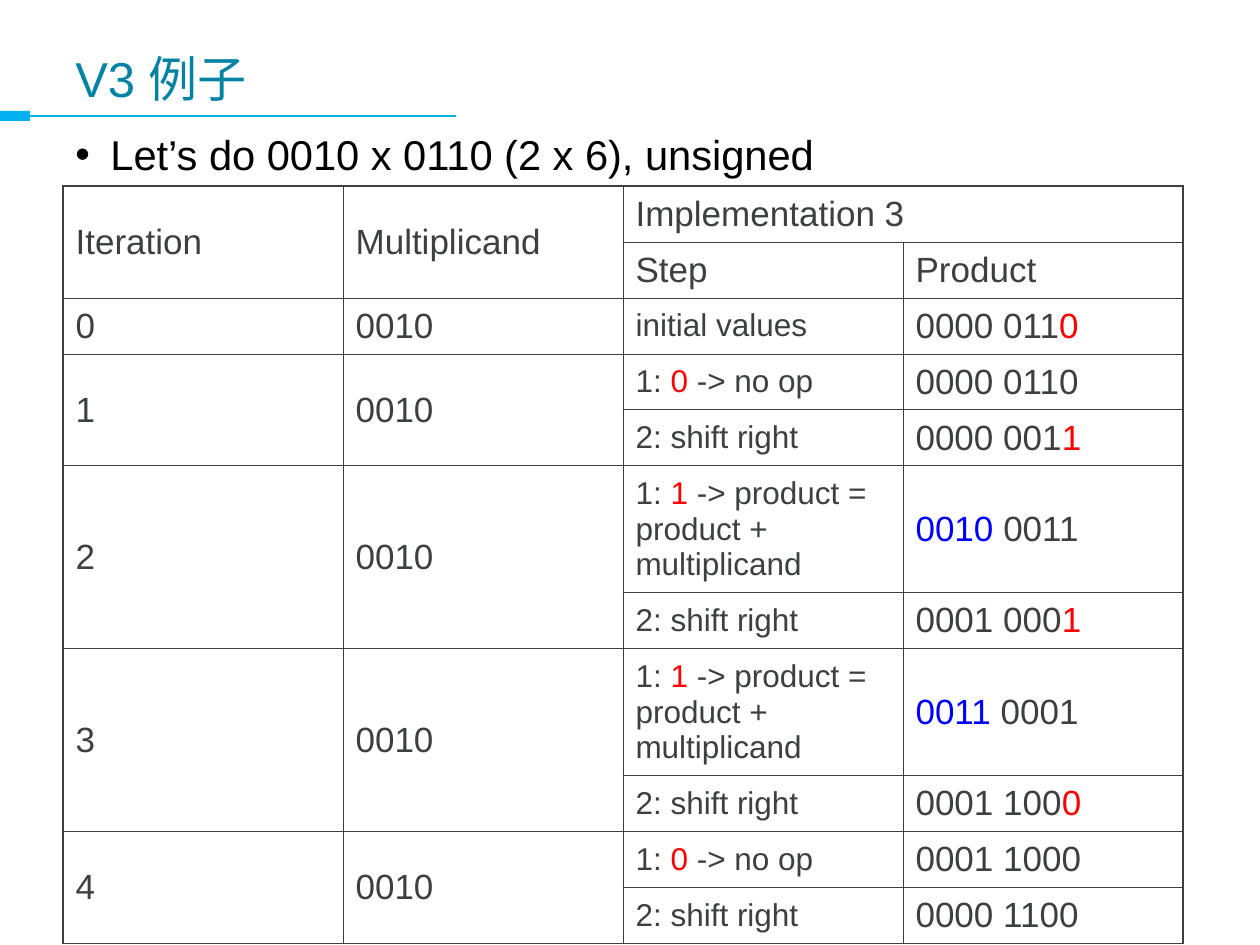
from dataclasses import dataclass
from typing import NamedTuple, Optional

from lxml.etree import SubElement
from pptx import Presentation
from pptx.dml.color import RGBColor
from pptx.enum.shapes import MSO_CONNECTOR, MSO_SHAPE
from pptx.enum.text import MSO_ANCHOR
from pptx.oxml.ns import qn
from pptx.util import Pt

EMU_PER_PX = 914400 / 126


@dataclass(frozen=True)
class Theme:
    font: str = "Arial"
    asian_font: str = "Noto Sans CJK KR"
    title: str = "0383A3"
    accent: str = "00B0F0"
    body: str = "000000"
    table: str = "3D3F41"
    tested_bit: str = "FF0000"
    sum_bits: str = "0000FF"
    title_size: float = 28
    body_size: float = 23.8
    cell_size: float = 20
    step_size: float = 18
    rule_width: float = 0.75
    inner_border: float = 0.45
    outer_border: float = 1.08


THEME = Theme()


class Span(NamedTuple):
    text: str
    color: Optional[str] = None


class Step(NamedTuple):
    operation: list[Span]
    product: list[Span]


class Cell(NamedTuple):
    row: int
    column: int
    spans: list[Span]
    size: float = THEME.cell_size
    rows: int = 1
    columns: int = 1


def tested(bit: str) -> Span:
    return Span(bit, THEME.tested_bit)


def added(bits: str) -> Span:
    return Span(bits, THEME.sum_bits)


def test_step(bit: str, action: str, *product: Span) -> Step:
    return Step([Span("1: "), tested(bit), Span(f" -> {action}")], list(product))


def shift_step(*product: Span) -> Step:
    return Step([Span("2: shift right")], list(product))


ADD = "product = product + multiplicand"
ITERATIONS = [
    [Step([Span("initial values")], [Span("0000 011"), tested("0")])],
    [test_step("0", "no op", Span("0000 0110")),
     shift_step(Span("0000 001"), tested("1"))],
    [test_step("1", ADD, added("0010"), Span(" 0011")),
     shift_step(Span("0001 000"), tested("1"))],
    [test_step("1", ADD, added("0011"), Span(" 0001")),
     shift_step(Span("0001 100"), tested("0"))],
    [test_step("0", "no op", Span("0001 1000")),
     shift_step(Span("0000 1100"))],
]
HEADER_CELLS = [
    Cell(0, 0, [Span("Iteration")], rows=2),
    Cell(0, 1, [Span("Multiplicand")], rows=2),
    Cell(0, 2, [Span("Implementation 3")], columns=2),
    Cell(1, 2, [Span("Step")]),
    Cell(1, 3, [Span("Product")]),
]
COLUMN_WIDTHS = [280] * 4
ROW, TALL_ROW = 56, 127
ROW_HEIGHTS = [ROW] * 5 + [TALL_ROW, ROW] * 2 + [ROW] * 2


def px(length: int) -> int:
    return round(length * EMU_PER_PX)


def write(paragraph, spans: list[Span], size: float, color: str) -> None:
    font = paragraph.font
    font.name = THEME.font
    font.size = Pt(size)
    font.color.rgb = RGBColor.from_string(color)
    for span in spans:
        run = paragraph.add_run()
        run.text = span.text
        if span.color:
            run.font.color.rgb = RGBColor.from_string(span.color)


def add_text_box(slide, left: int, top: int, width: int, height: int):
    """Add an empty, vertically centred text box and return its paragraph."""
    frame = slide.shapes.add_textbox(px(left), px(top), px(width), px(height)).text_frame
    frame.word_wrap = True
    frame.vertical_anchor = MSO_ANCHOR.MIDDLE
    return frame.paragraphs[0]


def add_title_rule(slide) -> None:
    color = RGBColor.from_string(THEME.accent)
    line = slide.shapes.add_connector(
        MSO_CONNECTOR.STRAIGHT, px(456), px(116), px(29), px(116))
    line.line.color.rgb = color
    line.line.width = Pt(THEME.rule_width)
    SubElement(line._element.spPr, qn("a:effectLst"))
    block = slide.shapes.add_shape(MSO_SHAPE.RECTANGLE, 0, px(111), px(30), px(10))
    block.shadow.inherit = False
    block.fill.solid()
    block.fill.fore_color.rgb = color
    block.line.fill.background()


def add_title(slide) -> None:
    paragraph = add_text_box(slide, 63, -1, 1134, 157)
    write(paragraph, [Span("V3 例子")], THEME.title_size, THEME.title)
    SubElement(paragraph.font._element, qn("a:ea"), typeface=THEME.asian_font)


def add_bullet_line(slide) -> None:
    paragraph = add_text_box(slide, 63, 121, 1134, 66)
    properties = paragraph._p.get_or_add_pPr()
    properties.set("marL", str(px(35)))
    properties.set("indent", str(px(-35)))
    SubElement(properties, qn("a:buFont"), typeface=THEME.font)
    SubElement(properties, qn("a:buChar"), char="•")
    write(paragraph, [Span("Let’s do 0010 x 0110 (2 x 6), unsigned")],
          THEME.body_size, THEME.body)


def set_borders(table_cell, cell: Cell) -> None:
    """Draw thick edges on the table's outline and thin ones inside it."""
    on_outline = {
        "a:lnL": cell.column == 0,
        "a:lnR": cell.column + cell.columns == len(COLUMN_WIDTHS),
        "a:lnT": cell.row == 0,
        "a:lnB": cell.row + cell.rows == len(ROW_HEIGHTS),
    }
    properties = table_cell._tc.get_or_add_tcPr()
    for tag, is_outer in on_outline.items():
        width = THEME.outer_border if is_outer else THEME.inner_border
        line = SubElement(properties, qn(tag), w=str(Pt(width)))
        fill = SubElement(line, qn("a:solidFill"))
        SubElement(fill, qn("a:srgbClr"), val=THEME.table)


def list_cells() -> list[Cell]:
    cells = list(HEADER_CELLS)
    row = 2
    for number, steps in enumerate(ITERATIONS):
        cells.append(Cell(row, 0, [Span(str(number))], rows=len(steps)))
        cells.append(Cell(row, 1, [Span("0010")], rows=len(steps)))
        for step in steps:
            cells.append(Cell(row, 2, step.operation, THEME.step_size))
            cells.append(Cell(row, 3, step.product))
            row += 1
    return cells


def add_multiplication_table(slide) -> None:
    table = slide.shapes.add_table(
        len(ROW_HEIGHTS), len(COLUMN_WIDTHS), px(63), px(186),
        px(sum(COLUMN_WIDTHS)), px(sum(ROW_HEIGHTS))).table
    table.first_row = table.horz_banding = False
    for column, width in zip(table.columns, COLUMN_WIDTHS):
        column.width = px(width)
    for row, height in zip(table.rows, ROW_HEIGHTS):
        row.height = px(height)
    for cell in list_cells():
        origin = table.cell(cell.row, cell.column)
        if cell.rows * cell.columns > 1:
            origin.merge(table.cell(cell.row + cell.rows - 1,
                                    cell.column + cell.columns - 1))
        origin.vertical_anchor = MSO_ANCHOR.MIDDLE
        set_borders(origin, cell)
        write(origin.text_frame.paragraphs[0], cell.spans, cell.size, THEME.table)
    for table_cell in table.iter_cells():
        table_cell.fill.background()


def main() -> None:
    presentation = Presentation()
    presentation.slide_width, presentation.slide_height = px(1260), px(945)
    slide = presentation.slides.add_slide(presentation.slide_layouts[6])
    add_title_rule(slide)
    add_title(slide)
    add_bullet_line(slide)
    add_multiplication_table(slide)
    presentation.save("out.pptx")


if __name__ == "__main__":
    main()
